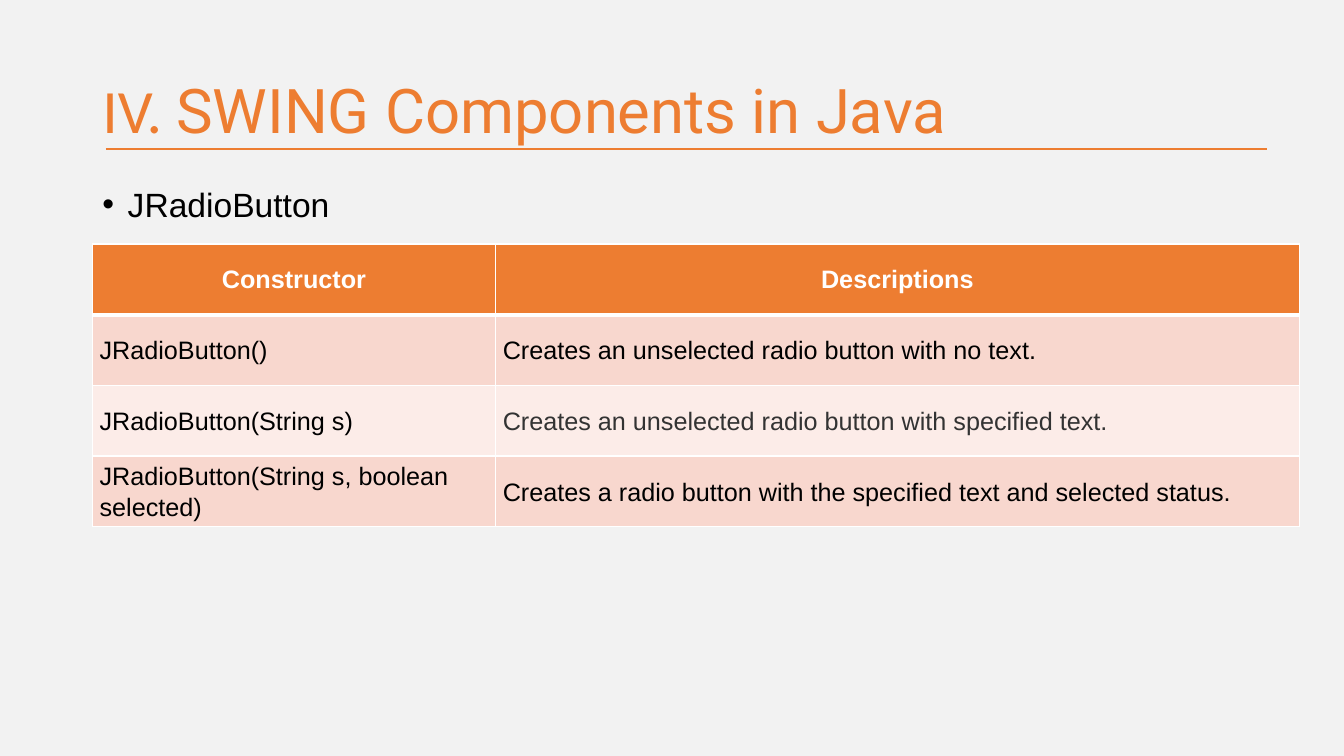
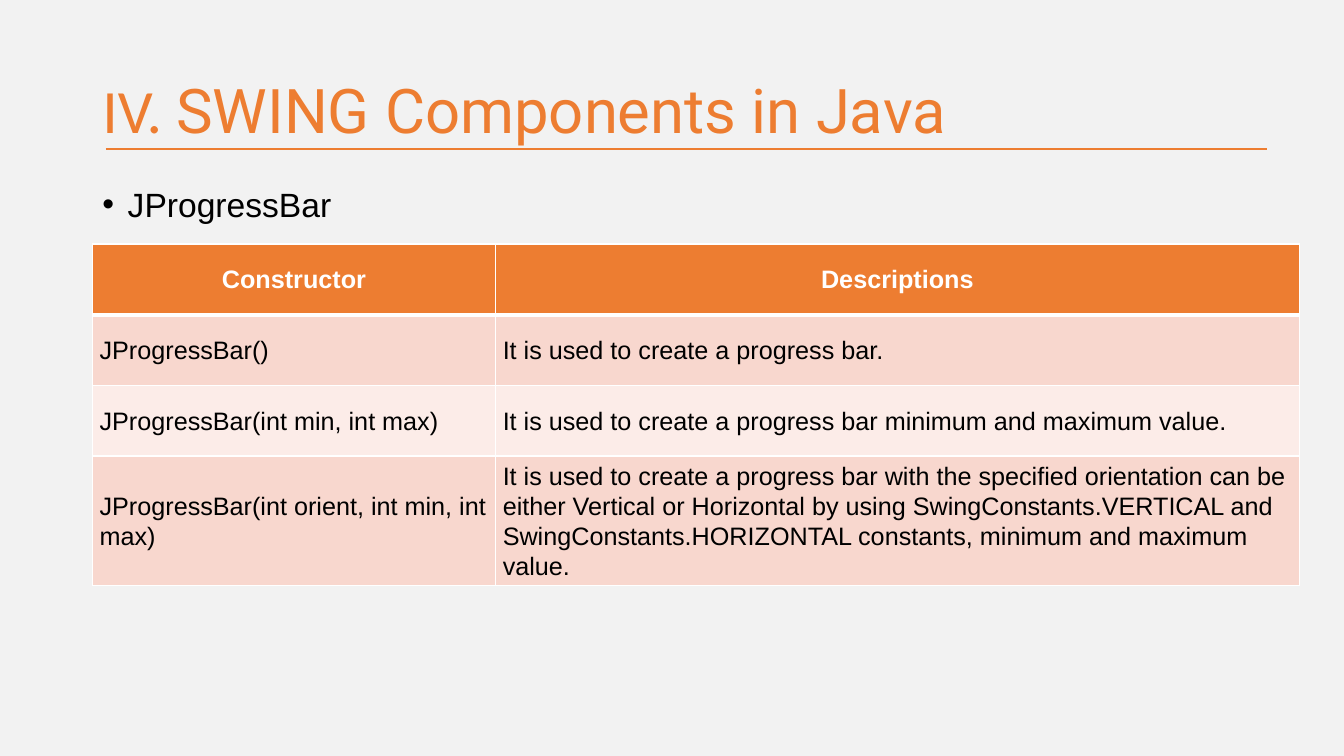
from dataclasses import dataclass

from lxml.etree import SubElement
from pptx import Presentation
from pptx.dml.color import RGBColor
from pptx.enum.shapes import MSO_CONNECTOR as Connector
from pptx.enum.text import MSO_ANCHOR as Anchor, PP_ALIGN as Align
from pptx.oxml import parse_xml
from pptx.oxml.ns import nsdecls, qn
from pptx.util import Cm, Pt


@dataclass(frozen=True)
class Theme:
    """Colours, fonts and type sizes of the deck."""
    background: str = "F2F2F2"
    accent: str = "ED7D31"
    text: str = "000000"
    soft_text: str = "333333"
    white: str = "FFFFFF"
    bands: tuple = ("F8D7CE", "FCECE8")
    body_font: str = "Arial"
    number_font: str = "Calibri"
    title_font: str = "Roboto"
    title_size: int = 44
    bullet_size: int = 24
    table_size: int = 18
    thin_border: int = 1
    thick_border: int = 3


@dataclass(frozen=True)
class Box:
    """A region of the slide, in centimetres."""
    left: float
    top: float
    width: float
    height: float

    def lengths(self):
        """Return left, top, width and height as lengths."""
        return Cm(self.left), Cm(self.top), Cm(self.width), Cm(self.height)


THEME = Theme()
SLIDE_WIDTH, SLIDE_HEIGHT = 33.87, 19.05
TITLE_BOX = Box(2.33, 1.01, 29.21, 3.68)
BULLET_BOX = Box(2.33, 4.01, 29.21, 14.5)
TABLE_BOX = Box(2.33, 6.15, 30.41, 7.12)
COLUMN_WIDTHS = (10.16, 20.25)
CELL_INSET = 0.18
TITLE_NUMBER, TITLE_TEXT = "IV. ", "SWING Components in Java"
HEADINGS = ("Constructor", "Descriptions")

TOPICS = (
    ("JRadioButton", (
        ("JRadioButton()", "Creates an unselected radio button with no text."),
        ("JRadioButton(String s)", "Creates an unselected radio button with specified text."),
        ("JRadioButton(String s, boolean selected)",
         "Creates a radio button with the specified text and selected status."),
    ), {(2, 1): THEME.soft_text}),
    ("JProgressBar", (
        ("JProgressBar()", "It is used to create a progress bar."),
        ("JProgressBar(int min, int max)",
         "It is used to create a progress bar minimum and maximum value."),
        ("JProgressBar(int orient, int min, int max)",
         "It is used to create a progress bar with the specified orientation can be either "
         "Vertical or Horizontal by using SwingConstants.VERTICAL and "
         "SwingConstants.HORIZONTAL constants, minimum and maximum value."),
    ), {}),
)


def rgb(value):
    """Turn a hex string into a colour."""
    return RGBColor.from_string(value)


def add_text(paragraph, text, size, color=THEME.text, font=THEME.body_font,
             bold=False, align=Align.LEFT, spacing=1.0):
    """Add one formatted run to a paragraph."""
    paragraph.alignment = align
    paragraph.line_spacing = spacing
    run = paragraph.add_run()
    run.text = text
    run.font.size = Pt(size)
    run.font.name = font
    run.font.bold = bold
    run.font.color.rgb = rgb(color)


def add_frame(slide, box, anchor):
    """Add a wrapping text box and return its first paragraph."""
    frame = slide.shapes.add_textbox(*box.lengths()).text_frame
    frame.word_wrap = True
    frame.vertical_anchor = anchor
    return frame.paragraphs[0]


def add_title(slide, box):
    """Place the numbered title and the rule beneath it."""
    rule_top = Cm(box.top + 2.75)
    rule = slide.shapes.add_connector(
        Connector.STRAIGHT, Cm(box.left + 0.34), rule_top,
        Cm(box.left + box.width + 0.39), rule_top)
    rule.line.color.rgb = rgb(THEME.accent)
    rule.line.width = Pt(1.5)
    SubElement(rule._element.spPr, qn("a:effectLst"))

    paragraph = add_frame(slide, box, Anchor.MIDDLE)
    for text, font in ((TITLE_NUMBER, THEME.number_font), (TITLE_TEXT, THEME.title_font)):
        add_text(paragraph, text, THEME.title_size, color=THEME.accent, font=font, spacing=0.9)


def add_bullet(slide, box, text):
    """Place the bulleted name of the component."""
    paragraph = add_frame(slide, box, Anchor.TOP)
    properties = paragraph._p.get_or_add_pPr()
    properties.set("marL", str(Cm(0.64)))
    properties.set("indent", str(-Cm(0.64)))
    SubElement(properties, qn("a:buFont"), typeface=THEME.body_font)
    SubElement(properties, qn("a:buChar"), char="•")
    add_text(paragraph, text, THEME.bullet_size, spacing=1.5)


def set_borders(cell, top, bottom):
    """Draw white borders around a cell, with widths in points."""
    properties = cell._tc.get_or_add_tcPr()
    widths = {"lnL": THEME.thin_border, "lnR": THEME.thin_border, "lnT": top, "lnB": bottom}
    for position, (side, width) in enumerate(widths.items()):
        properties.insert(position, parse_xml(
            f'<a:{side} {nsdecls("a")} w="{Pt(width)}"><a:solidFill>'
            f'<a:srgbClr val="{THEME.white}"/></a:solidFill></a:{side}>'))


def fill_cell(cell, text, row, color):
    """Format one cell as a heading or as part of a banded row."""
    is_heading = row == 0
    cell.vertical_anchor = Anchor.MIDDLE
    cell.fill.solid()
    cell.fill.fore_color.rgb = rgb(THEME.accent if is_heading else THEME.bands[(row - 1) % 2])
    set_borders(cell, THEME.thick_border if row == 1 else THEME.thin_border,
                THEME.thick_border if is_heading else THEME.thin_border)
    paragraph = cell.text_frame.paragraphs[0]
    if is_heading:
        add_text(paragraph, text, THEME.table_size, color=THEME.white, bold=True,
                 align=Align.CENTER)
    else:
        cell.margin_left = cell.margin_right = Cm(CELL_INSET)
        cell.margin_top = cell.margin_bottom = Cm(0)
        add_text(paragraph, text, THEME.table_size, color=color, spacing=1.07)


def add_constructor_table(slide, box, constructors, colors):
    """Place the table of constructors with its heading row."""
    rows = (HEADINGS, *constructors)
    table = slide.shapes.add_table(len(rows), len(HEADINGS), *box.lengths()).table
    for column, width in zip(table.columns, COLUMN_WIDTHS):
        column.width = Cm(width)
    for row, texts in enumerate(rows):
        table.rows[row].height = Cm(box.height / len(rows))
        for column, text in enumerate(texts):
            fill_cell(table.cell(row, column), text, row, colors.get((row, column), THEME.text))


def add_component_slide(presentation, name, constructors, colors):
    """Add one slide that lists the constructors of a component."""
    slide = presentation.slides.add_slide(presentation.slide_layouts[6])
    slide.background.fill.solid()
    slide.background.fill.fore_color.rgb = rgb(THEME.background)
    add_title(slide, TITLE_BOX)
    add_bullet(slide, BULLET_BOX, name)
    add_constructor_table(slide, TABLE_BOX, constructors, colors)


def main():
    """Build and save the presentation."""
    presentation = Presentation()
    presentation.slide_width = Cm(SLIDE_WIDTH)
    presentation.slide_height = Cm(SLIDE_HEIGHT)
    for topic in TOPICS:
        add_component_slide(presentation, *topic)
    presentation.save("out.pptx")


if __name__ == "__main__":
    main()
